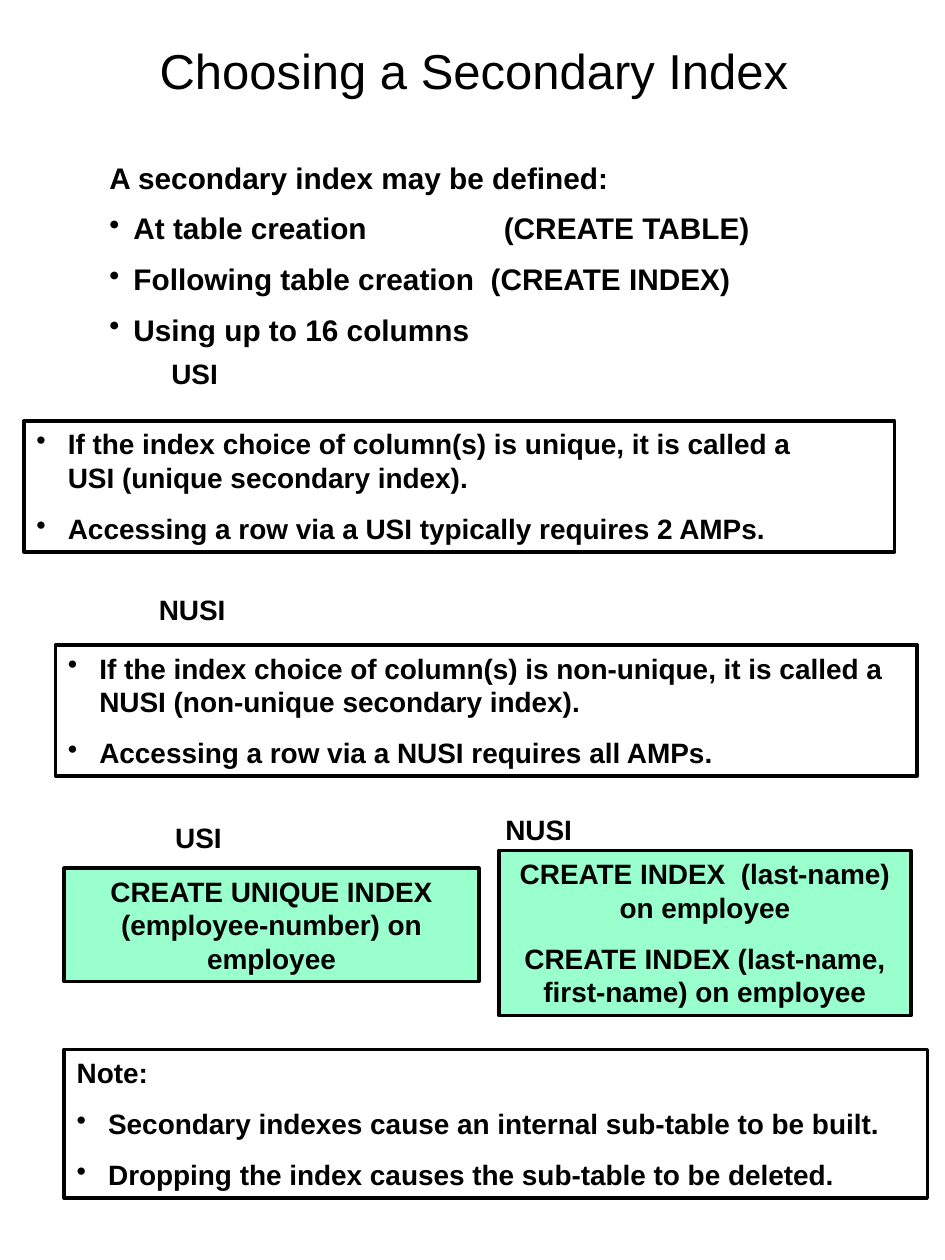
from lxml.etree import SubElement
from pptx import Presentation
from pptx.dml.color import RGBColor
from pptx.enum.shapes import MSO_SHAPE as Shape
from pptx.enum.text import MSO_ANCHOR as Anchor, MSO_AUTO_SIZE as AutoSize, PP_ALIGN as Align
from pptx.oxml.ns import qn
from pptx.util import Inches, Pt

COLORS = {"ink": "000000", "mint": "99FFCC"}
FONT = "Arial"


def color(name):
    return RGBColor.from_string(COLORS[name])


def add_bullet(paragraph, tab=None):
    """Give a paragraph a black bullet and, if asked, one left tab stop."""
    props = paragraph._p.get_or_add_pPr()
    bullet_color = SubElement(props, qn("a:buClr"))
    SubElement(bullet_color, qn("a:srgbClr"), val=COLORS["ink"])
    SubElement(props, qn("a:buChar"), char="•")
    if tab:
        stops = SubElement(props, qn("a:tabLst"))
        SubElement(stops, qn("a:tab"), pos=str(Inches(tab)), algn="l")


def write(frame, lines, size=16, bold=True, align=Align.LEFT, bullets_from=None,
          indent=0, gap=10, bullet_spacing=None, tab=None):
    """Fill a text frame; lines from index bullets_from on carry bullets."""
    frame.word_wrap = True
    for index, line in enumerate(lines):
        paragraph = frame.add_paragraph() if index else frame.paragraphs[0]
        props = paragraph._p.get_or_add_pPr()
        if indent:
            props.set("marL", str(Inches(indent)))
            props.set("indent", str(-Inches(indent)))
        if bullets_from is not None and index >= bullets_from:
            add_bullet(paragraph, tab)
            paragraph.line_spacing = bullet_spacing
        paragraph.alignment = align
        if index:
            paragraph.space_before = Pt(gap)
        run = paragraph.add_run()
        run.text = line
        run.font.name, run.font.size, run.font.bold = FONT, Pt(size), bold
        run.font.color.rgb = color("ink")


class IndexSlide:
    def __init__(self, slide):
        self.slide = slide

    def text(self, left, top, width, height, lines, anchor=Anchor.TOP, **style):
        box = self.slide.shapes.add_textbox(*map(Inches, (left, top, width, height)))
        box.text_frame.vertical_anchor = anchor
        write(box.text_frame, lines, **style)

    def label(self, left, top, name):
        self.text(left, top, 1.17, 0.37, [name], align=Align.CENTER)

    def panel(self, left, top, width, height, lines, fill=None, right_inset=0.1, **style):
        panel = self.slide.shapes.add_shape(
            Shape.RECTANGLE, *map(Inches, (left, top, width, height)))
        panel.shadow.inherit = False
        if fill:
            panel.fill.solid()
            panel.fill.fore_color.rgb = color(fill)
        else:
            panel.fill.background()
        panel.line.color.rgb = color("ink")
        panel.line.width = Pt(2)
        frame = panel.text_frame
        frame.vertical_anchor = Anchor.TOP
        frame.auto_size = AutoSize.SHAPE_TO_FIT_TEXT
        frame.margin_right = Inches(right_inset)
        write(frame, lines, **style)

    def bullet_panel(self, left, top, width, height, lines, bullets_from=0, **style):
        self.panel(left, top, width, height, lines,
                   bullets_from=bullets_from, indent=0.25, **style)

    def sql_panel(self, left, top, width, height, statements):
        self.panel(left, top, width, height, statements, fill="mint", align=Align.CENTER)


def main():
    deck = Presentation()
    deck.slide_width, deck.slide_height = Inches(7.5), Inches(10)
    page = IndexSlide(deck.slides.add_slide(deck.slide_layouts[6]))

    # Title and ways to define an index
    page.text(0.71, 0.21, 6.1, 0.69, ["Choosing a Secondary Index"],
              anchor=Anchor.MIDDLE, size=28, bold=False, align=Align.CENTER)
    page.text(0.77, 1.22, 6.72, 1.59, [
        "A secondary index may be defined:",
        "At table creation \t(CREATE TABLE)",
        "Following table creation  (CREATE INDEX)",
        "Using up to 16 columns",
    ], size=17, bullets_from=1, indent=0.19, gap=10.6, bullet_spacing=0.9, tab=3.13)

    # Unique and non-unique definitions
    page.label(0.96, 2.78, "USI")
    page.bullet_panel(0.19, 3.34, 6.91, 1.04, [
        "If the index choice of column(s) is unique, it is called a "
        "USI (unique secondary index).",
        "Accessing a row via a USI typically requires 2 AMPs.",
    ], right_inset=0.6)
    page.label(0.94, 4.65, "NUSI")
    page.bullet_panel(0.44, 5.12, 6.84, 1.04, [
        "If the index choice of column(s) is non-unique, it is called a "
        "NUSI (non-unique secondary index).",
        "Accessing a row via a NUSI requires all AMPs.",
    ])

    # SQL examples
    page.label(0.99, 6.46, "USI")
    page.sql_panel(0.51, 6.89, 3.29, 0.9,
                   ["CREATE UNIQUE INDEX (employee-number) on employee"])
    page.label(3.69, 6.4, "NUSI")
    page.sql_panel(3.96, 6.75, 3.27, 1.31, [
        "CREATE INDEX  (last-name) on employee",
        "CREATE INDEX (last-name, first-name) on employee",
    ])

    # Closing remarks
    page.bullet_panel(0.51, 8.33, 6.85, 1.18, [
        "Note:",
        "Secondary indexes cause an internal sub-table to be built.",
        "Dropping the index causes the sub-table to be deleted.",
    ], bullets_from=1)

    deck.save("out.pptx")


if __name__ == "__main__":
    main()
